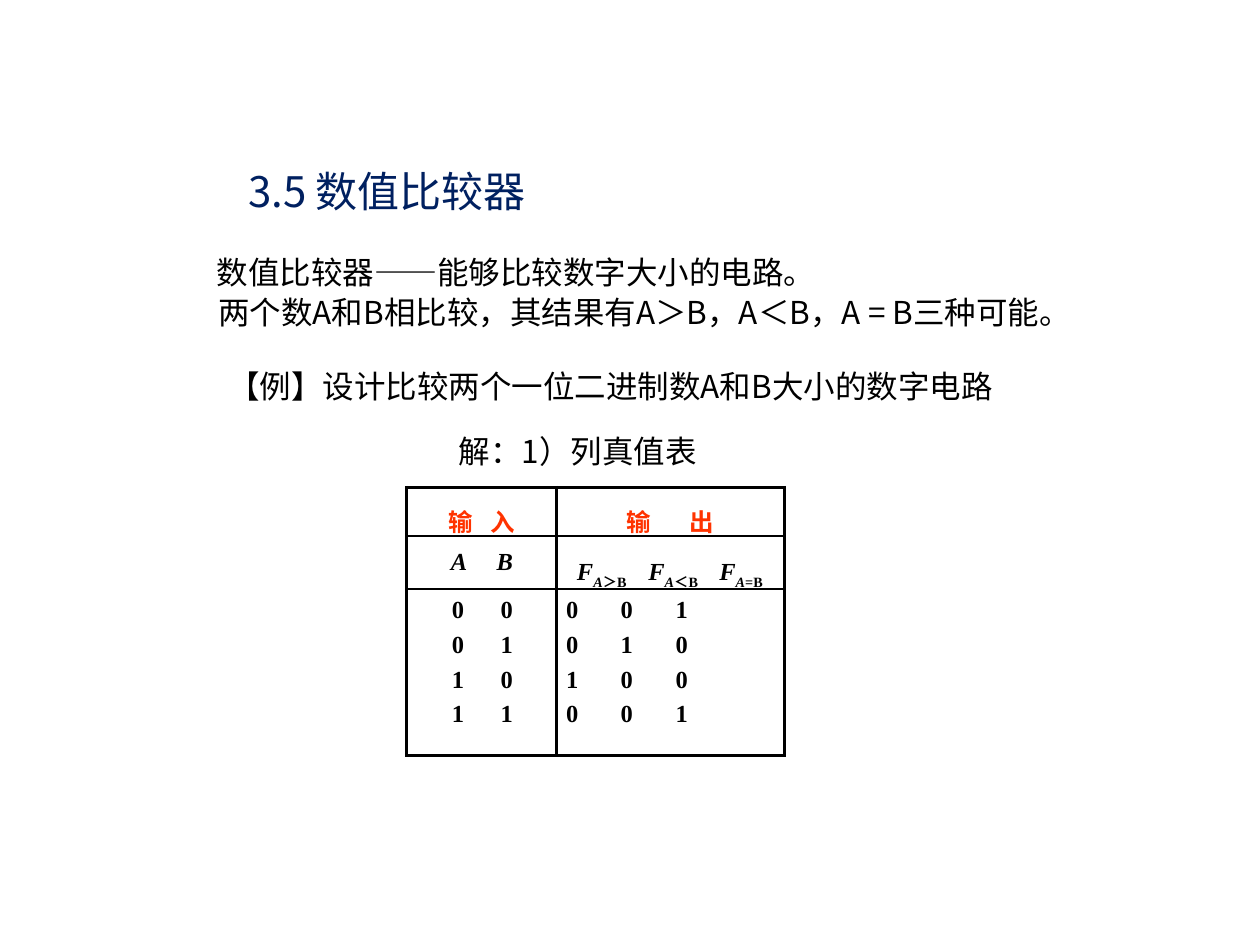
"""Build the slide on the numeric comparator and its truth table."""
from lxml import etree
from pptx import Presentation
from pptx.dml.color import RGBColor
from pptx.enum.text import MSO_ANCHOR, PP_ALIGN
from pptx.oxml.ns import qn
from pptx.util import Cm, Pt

LEFT, CENTER = PP_ALIGN.LEFT, PP_ALIGN.CENTER
MIDDLE = MSO_ANCHOR.MIDDLE
BLACK = RGBColor(0, 0, 0)
NAVY = RGBColor(0x00, 0x20, 0x60)
RED = RGBColor(0xFF, 0x33, 0x00)
SANS, LATIN, SERIF = "Noto Sans CJK SC", "Calibri", "Times New Roman"

TITLE = "3.5 数值比较器"
DEFINITION = [("数值比较器", SANS), ("——", LATIN), ("能够比较数字大小的电路。", SANS)]
RESULTS = " 两个数A和B相比较，其结果有A＞B，A＜B，A = B三种可能。"
EXAMPLE = "【例】设计比较两个一位二进制数A和B大小的数字电路"
SOLUTION = "解：1）列真值表"

TITLE_BOX = (4.75, 3.2, 17.5, 1.27)
BODY_BOX = (4.01, 4.95, 18.62, 1.83)
EXAMPLE_BOX = (3.76, 7.29, 17.09, 0.89)
SOLUTION_BOX = (4.6, 8.64, 14.1, 0.89)
TABLE_BOX = (8.2, 9.83, 7.62, 5.31)

COL_WIDTHS = (3.02, 4.6)
ROW_HEIGHTS = (0.94, 1.02, 3.35)
HEADINGS = (("输", "入"), ("输", "出"))
INPUTS = ("A", "B")
OUTPUTS = ("＞B", "＜B", "=B")
TRUTH = [((0, 0), (0, 0, 1)), ((0, 1), (0, 1, 0)),
         ((1, 0), (1, 0, 0)), ((1, 1), (0, 0, 1))]
HEADING_TABS = ((0.66, 1.51), (1.22, 2.49))
VARIABLE_TABS = ((0.71, 1.63), (0.23, 1.67, 3.1))
DIGIT_TABS = ((0.73, 1.71), (0.01, 1.11, 2.22))


def set_font(font, name, size, color, bold=False, italic=False):
    font.name, font.size, font.bold, font.italic = name, Pt(size), bold, italic
    font.color.rgb = color


def add_run(p, text):
    r = p.add_run()
    r.text = text
    return r


def set_box(sp, box):
    sp.left, sp.top, sp.width, sp.height = map(Cm, box)
    tf = sp.text_frame
    tf.word_wrap = True
    tf.vertical_anchor = MIDDLE
    return tf


def add_text(s, box):
    return set_box(s.shapes.add_textbox(*map(Cm, box)), box)


def write_line(p, text, size=18, color=BLACK, align=LEFT, spacing=1.0):
    p.alignment, p.line_spacing = align, spacing
    add_run(p, text)
    set_font(p.font, SANS, size, color)


def set_tabs(p, stops):
    tabs = etree.SubElement(p._p.get_or_add_pPr(), qn("a:tabLst"))
    for stop in stops:
        etree.SubElement(tabs, qn("a:tab"), pos=str(Cm(stop)), algn="l")


def table_line(p, items, stops, spacing, color=BLACK, italic=False):
    p.alignment, p.line_spacing = LEFT, spacing
    set_tabs(p, stops)
    set_font(p.font, SERIF, 14, color, True, italic)
    if items:
        add_run(p, "".join(f"\t{item}" for item in items))


def add_borders(cell, top, bottom):
    tcPr = cell._tc.get_or_add_tcPr()
    for side, width in (("L", 2.25), ("R", 2.25), ("T", top), ("B", bottom)):
        ln = etree.SubElement(tcPr, qn(f"a:ln{side}"), w=str(Pt(width)))
        fill = etree.SubElement(ln, qn("a:solidFill"))
        etree.SubElement(fill, qn("a:srgbClr"), val=str(BLACK))
    cell.fill.background()


def write_outputs(p):
    for relation in OUTPUTS:
        add_run(p, "\tF")
        for text, italic in (("A", True), (relation, False)):
            r = add_run(p, text)
            r.font.italic = italic
            r._r.get_or_add_rPr().set("baseline", "-25000")


def add_truth_table(s):
    tbl = s.shapes.add_table(len(ROW_HEIGHTS), len(COL_WIDTHS), *map(Cm, TABLE_BOX)).table
    tbl.first_row = tbl.horz_banding = False
    for col, width in zip(tbl.columns, COL_WIDTHS):
        col.width = Cm(width)
    for row, height in zip(tbl.rows, ROW_HEIGHTS):
        row.height = Cm(height)
    edges = (2.25, 1, 1, 2.25)
    for i, row in enumerate(tbl.rows):
        for cell in row.cells:
            cell.margin_left = cell.margin_right = Cm(0.18)
            cell.margin_top = cell.margin_bottom = Cm(0.1)
            add_borders(cell, edges[i], edges[i + 1])
    for c, variables in enumerate((INPUTS, ())):
        heading, names, digits = (tbl.cell(i, c).text_frame for i in range(3))
        table_line(heading.paragraphs[0], HEADINGS[c], HEADING_TABS[c], 1.3, RED)
        table_line(names.paragraphs[0], variables, VARIABLE_TABS[c], 1.3, italic=True)
        for i, values in enumerate(TRUTH):
            p = digits.add_paragraph() if i else digits.paragraphs[0]
            if i:
                p.space_before = Pt(2.8)
            table_line(p, values[c], DIGIT_TABS[c], 1.1)
    write_outputs(tbl.cell(1, 1).text_frame.paragraphs[0])


def main():
    prs = Presentation()
    prs.slide_width, prs.slide_height = Cm(25.4), Cm(19.05)
    s = prs.slides.add_slide(prs.slide_layouts[5])

    tf = set_box(s.shapes.title, TITLE_BOX)
    write_line(tf.paragraphs[0], TITLE, 24, NAVY)

    tf = add_text(s, BODY_BOX)
    p = tf.paragraphs[0]
    write_line(p, " ", spacing=1.05)
    p.runs[0].font.size = Pt(13.5)
    for text, name in DEFINITION:
        add_run(p, text).font.name = name
    write_line(tf.add_paragraph(), RESULTS, spacing=1.05)

    for box, text, spacing in ((EXAMPLE_BOX, EXAMPLE, 1.1), (SOLUTION_BOX, SOLUTION, 1.0)):
        write_line(add_text(s, box).paragraphs[0], text, align=CENTER, spacing=spacing)

    add_truth_table(s)
    prs.save("out.pptx")


if __name__ == "__main__":
    main()
